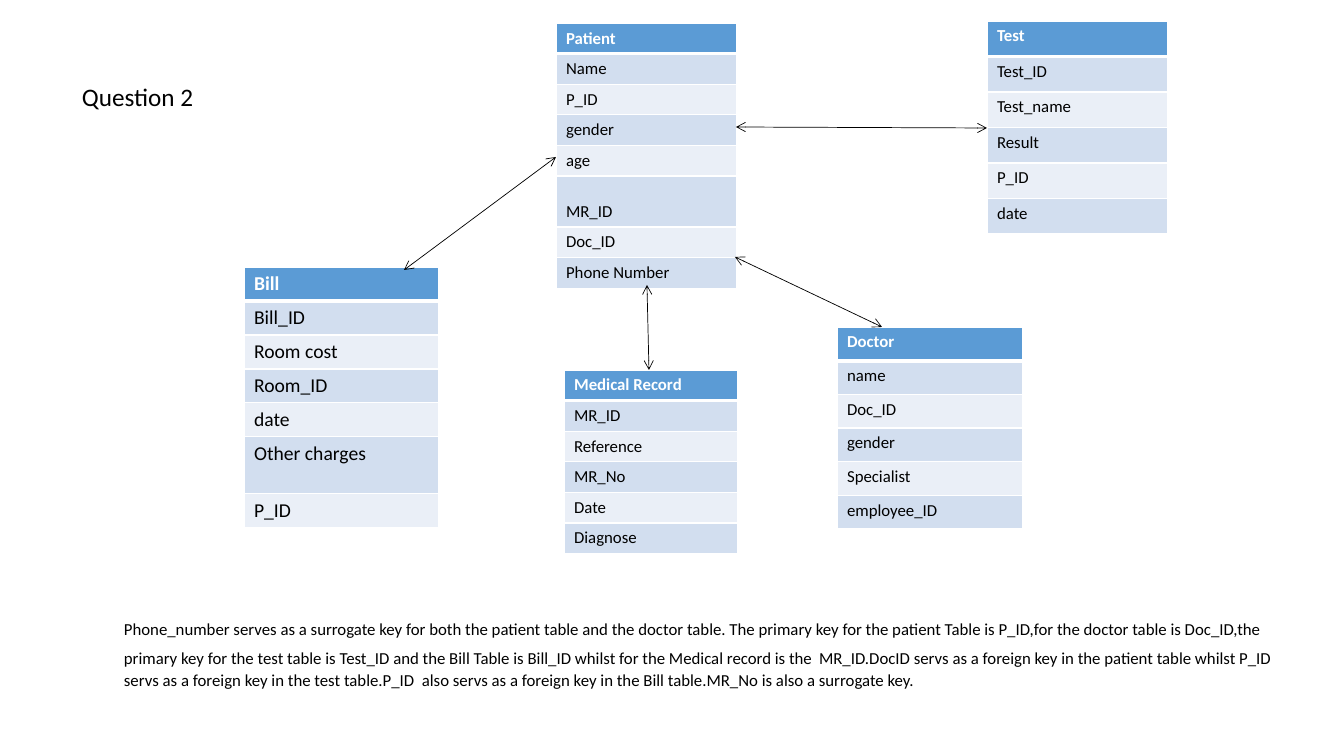
from lxml import etree
from pptx import Presentation, util as u
from pptx.dml.color import RGBColor
from pptx.enum import shapes, text
from pptx.oxml.ns import qn

SCALE = 914400 / 100.8
FONT = "Calibri"
WHITE, BLACK, BLUE = "FFFFFF", "000000", "5B9BD5"
BANDS = ["EAEFF7", "D2DEEF"]


def px(n):
    return u.Emu(round(n * SCALE))


def rgb(value):
    return RGBColor.from_string(value)


def add_run(p, words, size, color=BLACK, bold=False):
    r = p.add_run()
    r.text = words
    r.font.name = FONT
    r.font.size = u.Pt(size)
    r.font.bold = bold
    r.font.color.rgb = rgb(color)


def add_border(cell, side, points):
    ln = etree.SubElement(cell._tc.get_or_add_tcPr(), qn("a:" + side), w=str(u.Pt(points)))
    fill = etree.SubElement(ln, qn("a:solidFill"))
    etree.SubElement(fill, qn("a:srgbClr"), val=WHITE)


def add_entity(s, box, names, size=12, tall_row=None, tall_height=0):
    x, y, w, h = box
    tbl = s.shapes.add_table(len(names), 1, px(x), px(y), px(w), px(h)).table
    tbl.columns[0].width = px(w)
    plain_rows = len(names) - (tall_row is not None)
    row_height = (h - tall_height) / plain_rows
    for i, name in enumerate(names):
        header = i == 0
        tbl.rows[i].height = px(tall_height if i == tall_row else row_height)
        cell = tbl.cell(i, 0)
        for side in ["lnL", "lnR"] + ["lnT"] * header:
            add_border(cell, side, 1)
        add_border(cell, "lnB", 3 if header else 1)
        cell.fill.solid()
        cell.fill.fore_color.rgb = rgb(BLUE if header else BANDS[i % 2])
        add_run(cell.text_frame.paragraphs[0], name, size, WHITE if header else BLACK, header)
    return tbl


def add_relation(s, x1, y1, x2, y2):
    sp = s.shapes.add_connector(shapes.MSO_CONNECTOR.STRAIGHT, px(x1), px(y1), px(x2), px(y2))
    sp.line.width = u.Pt(0.5)
    sp.line.color.rgb = rgb(BLACK)
    ln = sp.line._get_or_add_ln()
    for end in ("headEnd", "tailEnd"):
        etree.SubElement(ln, qn("a:" + end), type="arrow")
    etree.SubElement(sp._element.spPr, qn("a:effectLst"))


def add_text(s, box, runs, wrap):
    tf = s.shapes.add_textbox(*map(px, box)).text_frame
    tf.word_wrap = wrap
    tf.auto_size = text.MSO_AUTO_SIZE.SHAPE_TO_FIT_TEXT
    for words, size in runs:
        add_run(tf.paragraphs[0], words, size)


def add_diagram(s):
    add_entity(s, (244, 267, 195, 260),
               ["Bill", "Bill_ID", "Room cost", "Room_ID", "date", "Other charges", "P_ID"],
               size=14, tall_row=5, tall_height=57)
    patient = add_entity(s, (556, 23, 181, 264),
                         ["Patient", "Name", "P_ID", "gender", "age", "MR_ID", "Doc_ID",
                          "Phone Number"], tall_row=5, tall_height=51)
    patient.cell(5, 0).vertical_anchor = text.MSO_ANCHOR.BOTTOM
    add_entity(s, (837, 327, 186, 202),
               ["Doctor", "name", "Doc_ID", "gender", "Specialist", "employee_ID"])
    add_entity(s, (987, 21, 181, 213),
               ["Test", "Test_ID", "Test_name", "Result", "P_ID", "date"])
    add_entity(s, (564, 370, 174, 182),
               ["Medical Record", "MR_ID", "Reference", "MR_No", "Date", "Diagnose"])
    for ends in [(736, 127, 987, 128), (735, 257, 882, 327),
                 (404, 270, 556, 157), (647, 285, 649, 370)]:
        add_relation(s, *ends)


def add_notes_text(s):
    add_text(s, (72, 76, 157, 40), [("Question 2", 18)], False)
    add_text(s, (114, 614, 1173, 102), [
        ("Phone_number serves as a surrogate key for both the patient table and the doctor "
         "table. The primary key for the patient Table is P_ID,for the doctor table is "
         "Doc_ID,the primary key for the test table is Test_ID and the Bill Table is Bill_ID "
         "whilst for the Medical record is the", 12),
        (" ", 18),
        ("MR_ID.DocID servs as a foreign key in the patient table whilst P_ID servs as a "
         "foreign key in the test table.P_ID  also servs as a foreign key in the Bill "
         "table.MR_No is also a surrogate key.", 12)], True)


prs = Presentation()
prs.slide_width, prs.slide_height = px(1344), px(756)
s = prs.slides.add_slide(prs.slide_layouts[6])
add_diagram(s)
add_notes_text(s)
prs.save("out.pptx")
